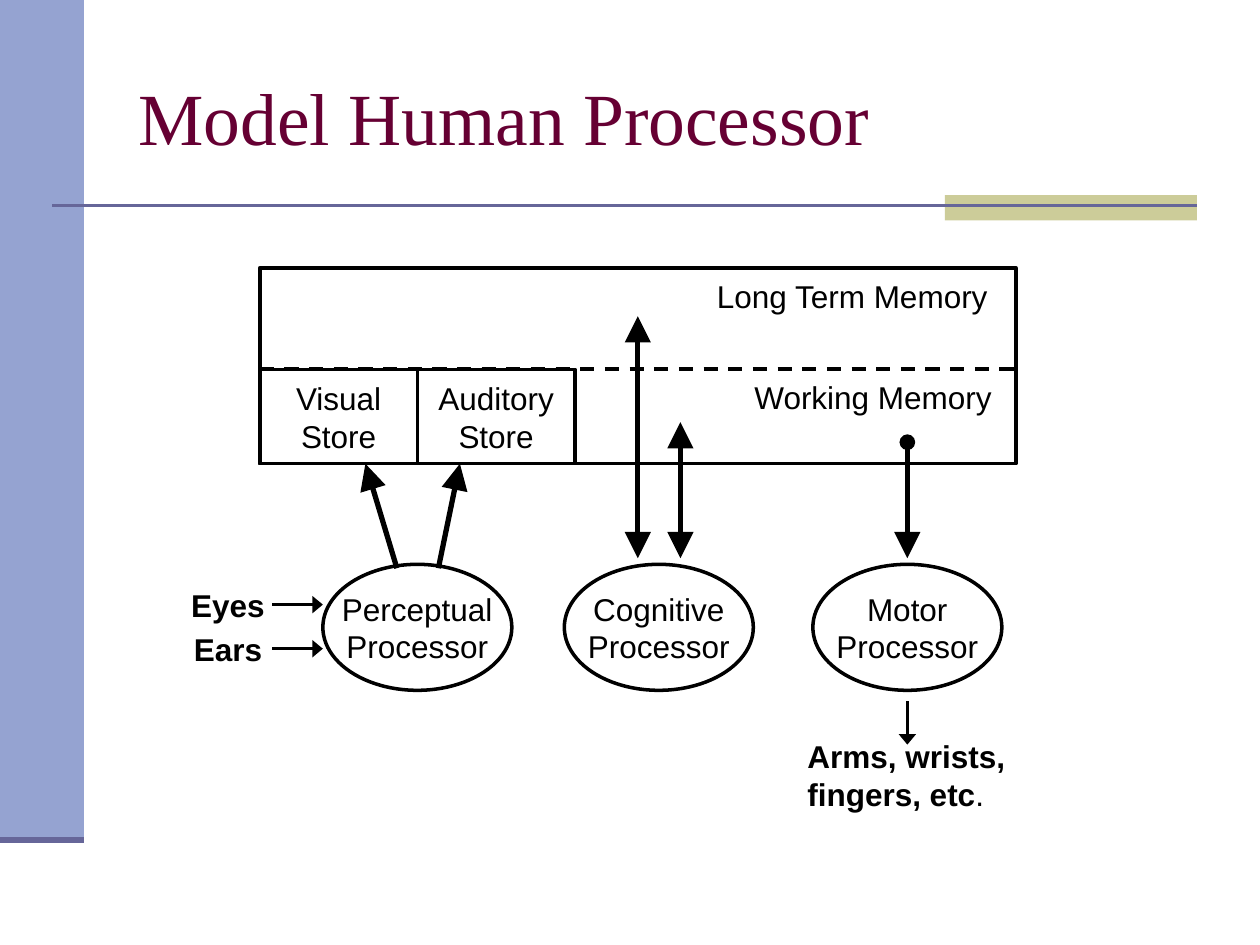
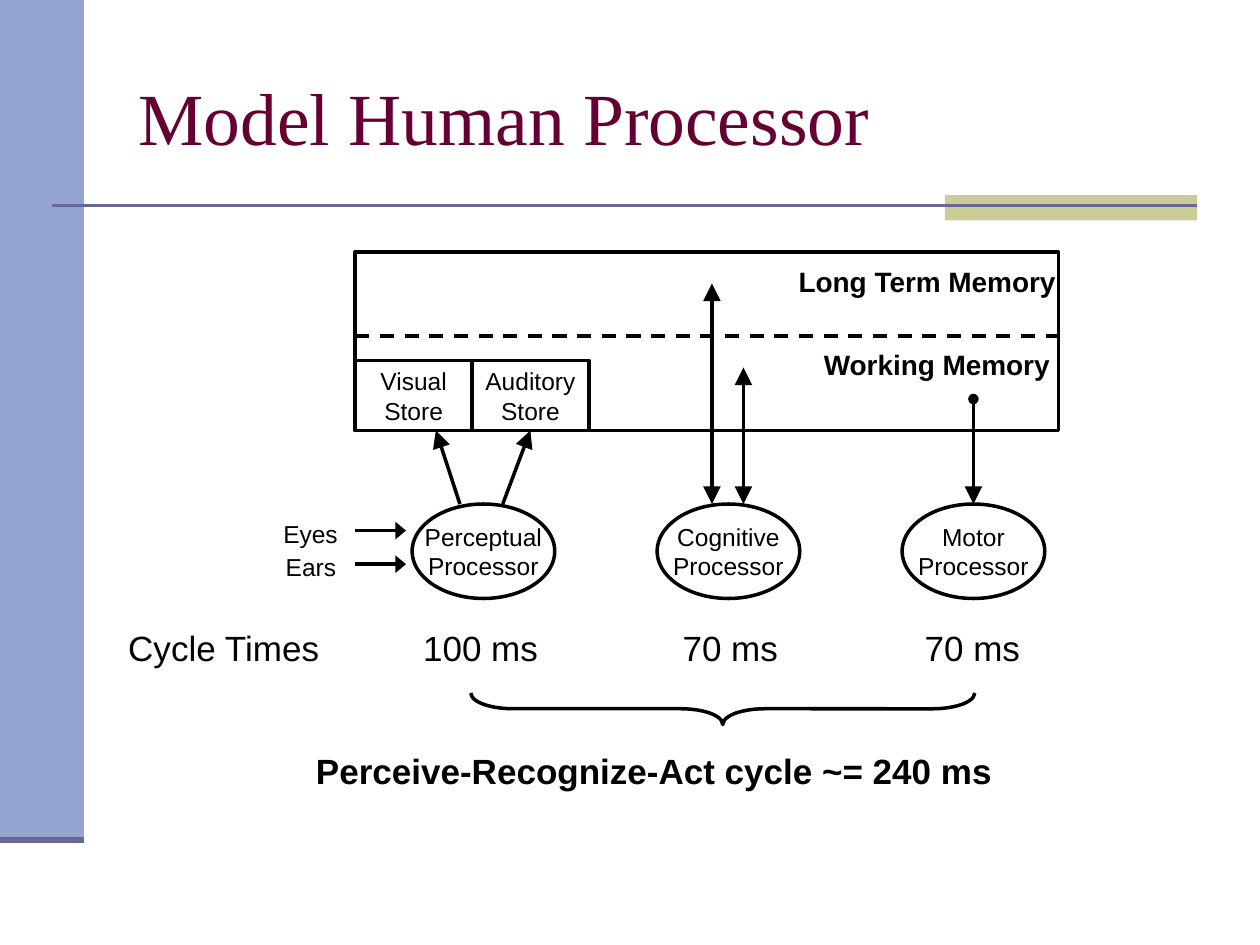
from lxml import etree
from pptx import Presentation
from pptx.dml.color import RGBColor
from pptx.enum.dml import MSO_LINE
from pptx.enum.shapes import MSO_CONNECTOR, MSO_SHAPE
from pptx.enum.text import MSO_ANCHOR, PP_ALIGN
from pptx.oxml.ns import qn
from pptx.util import Pt

# Shared colours, fonts and enum members
BLACK = RGBColor(0x00, 0x00, 0x00)
WHITE = RGBColor(0xFF, 0xFF, 0xFF)
BAND_BLUE = RGBColor(0x95, 0xA3, 0xD1)
RULE_BLUE = RGBColor(0x66, 0x66, 0x99)
ACCENT_SAND = RGBColor(0xCC, 0xCC, 0x99)
TITLE_WINE = RGBColor(0x66, 0x00, 0x33)
BODY_FONT = "Arial"
TITLE_FONT = "Times New Roman"
RECT = MSO_SHAPE.RECTANGLE
OVAL = MSO_SHAPE.OVAL
BRACE = MSO_SHAPE.RIGHT_BRACE
STRAIGHT = MSO_CONNECTOR.STRAIGHT
DASH = MSO_LINE.DASH
MIDDLE = MSO_ANCHOR.MIDDLE
CENTER = PP_ALIGN.CENTER

# Line ends: type, width, length
BIG_ARROW = ("triangle", "lg", "lg")
SMALL_ARROW = ("triangle", "lg", "med")
DOT = ("oval", "med", "med")

STORES = ("Visual\nStore", "Auditory\nStore")
PROCESSORS = ("Perceptual\nProcessor", "Cognitive\nProcessor", "Motor\nProcessor")


def format_runs(p, size, color=BLACK, bold=False, font=BODY_FONT):
    for r in p.runs:
        r.font.size = Pt(size)
        r.font.name = font
        r.font.bold = bold
        r.font.color.rgb = color


def add_label(slide, text, x, y, w, h, size, bold=False, wrap=False):
    tf = slide.shapes.add_textbox(Pt(x), Pt(y), Pt(w), Pt(h)).text_frame
    tf.word_wrap = wrap
    p = tf.paragraphs[0]
    p.text = text
    format_runs(p, size, bold=bold)
    return p


def add_box(slide, kind, x, y, w, h, fill=None, line=BLACK, text="", size=18):
    sp = slide.shapes.add_shape(kind, Pt(x), Pt(y), Pt(w), Pt(h))
    sp.shadow.inherit = False
    if fill is None:
        sp.fill.background()
    else:
        sp.fill.solid()
        sp.fill.fore_color.rgb = fill
    if line is None:
        sp.line.fill.background()
    else:
        sp.line.color.rgb = line
        sp.line.width = Pt(2)
    if text:
        tf = sp.text_frame
        tf.word_wrap = False
        tf.vertical_anchor = MIDDLE
        p = tf.paragraphs[0]
        p.text = text
        p.alignment = CENTER
        format_runs(p, size)
    return sp


def add_line(slide, x1, y1, x2, y2, width=2, color=BLACK, head=None, tail=None):
    c = slide.shapes.add_connector(STRAIGHT, Pt(x1), Pt(y1), Pt(x2), Pt(y2))
    c.line.color.rgb = color
    c.line.width = Pt(width)
    ln = c.line._get_or_add_ln()
    for tag, end in (("a:headEnd", head), ("a:tailEnd", tail)):
        if end:
            kind, w, length = end
            etree.SubElement(ln, qn(tag), type=kind, w=w, len=length)
    etree.SubElement(c._element.spPr, qn("a:effectLst"))
    return c


def add_base_slide(prs, title):
    slide = prs.slides.add_slide(prs.slide_layouts[6])
    # Side band, accent block and rules
    add_box(slide, RECT, 0, 0, 48, 480, fill=BAND_BLUE, line=None)
    add_box(slide, RECT, 540, 111.5, 144, 14.5, fill=ACCENT_SAND, line=None)
    add_line(slide, 30, 117.5, 684, 117.5, 1.5, RULE_BLUE)
    add_line(slide, 0, 480, 48, 480, 3.5, RULE_BLUE)
    # Title
    tf = slide.shapes.add_textbox(Pt(72), Pt(21.6), Pt(612), Pt(90)).text_frame
    tf.word_wrap = True
    tf.vertical_anchor = MIDDLE
    tf.text = title
    format_runs(tf.paragraphs[0], 42, TITLE_WINE, font=TITLE_FONT)
    return slide


def add_memory(slide, x, y, w, h, divider_y, store_w, store_h, size, fill=None):
    """Memory frame with a dashed divider and stores along its lower edge."""
    add_box(slide, RECT, x, y, w, h)
    add_line(slide, x, divider_y, x + w, divider_y).line.dash_style = DASH
    for i, name in enumerate(STORES):
        add_box(slide, RECT, x + i * store_w, y + h - store_h, store_w, store_h,
                fill=fill, text=name, size=size)


def add_processors(slide, lefts, y, w, h, size):
    return [add_box(slide, OVAL, x, y, w, h, text=name, size=size)
            for name, x in zip(PROCESSORS, lefts)]


def add_flows(slide, perceptual, cognitive, motor, bottom, width):
    """Arrows between processors and memory; bottom is their lower end."""
    for start, end in perceptual:
        add_line(slide, *start, *end, width, tail=BIG_ARROW)
    for x, top in cognitive:
        add_line(slide, x, bottom, x, top, width, head=BIG_ARROW, tail=BIG_ARROW)
    x, top = motor
    return add_line(slide, x, bottom, x, top, width, head=BIG_ARROW, tail=DOT)


def add_senses(slide, labels, arrow_x, arrow_ys, h, size, bold=False):
    for (text, x, y, w), arrow_y in zip(labels, arrow_ys):
        add_label(slide, text, x, y, w, h, size, bold)
        add_line(slide, arrow_x, arrow_y, arrow_x + 29, arrow_y, tail=SMALL_ARROW)


def build_model_slide(prs):
    slide = add_base_slide(prs, "Model Human Processor")
    add_memory(slide, 148.5, 153, 432, 112, 211, 90, 54, 18)
    add_label(slide, "Long Term Memory", 402.5, 154.8, 171.4, 28.8, 18)
    add_label(slide, "Working Memory", 424, 212.4, 150.5, 28.8, 18)
    add_processors(slide, (184.5, 322.5, 464.5), 322.5, 108, 72, 18)
    add_flows(slide,
              perceptual=[((226.8, 324.7), (208.8, 265)), ((250.5, 324.7), (262.8, 265))],
              cognitive=[(388.8, 241.2), (364.5, 180.7)],
              motor=(518.5, 252.7), bottom=319, width=3)
    add_senses(slide, [("Eyes", 102.2, 331.2, 56.2), ("Ears", 103.7, 356.4, 53.3)],
               155.5, (345.5, 370.7), 28.8, 18, bold=True)
    # Motor output
    p = add_label(slide, "Arms, wrists,\nfingers, etc", 454.3, 417.6, 127.4, 50.4, 18, True)
    r = p.add_run()
    r.text = "."
    r.font.size = Pt(18)
    r.font.name = BODY_FONT
    r.font.color.rgb = BLACK
    add_line(slide, 518.5, 425.5, 518.5, 400.5, head=SMALL_ARROW)


def build_cycle_slide(prs):
    slide = add_base_slide(prs, "Model Human Processor")
    add_memory(slide, 203, 144, 402, 102, 192, 66.75, 40, 14, fill=WHITE)
    add_label(slide, "Long Term Memory", 449.3, 147.6, 162, 26.6, 16, True)
    add_label(slide, "Working Memory", 463.7, 195.1, 144, 26.6, 16, True)
    motor = add_processors(slide, (235.5, 375.5, 515.5), 288, 81.5, 54, 14)[-1]
    motor_flow = add_flows(
        slide,
        perceptual=[((262.8, 288), (249.1, 246)), ((287.3, 288), (303.1, 246))],
        cognitive=[(424.8, 210), (406.8, 162)],
        motor=(556.25, 228), bottom=288, width=2)
    motor_flow.begin_connect(motor, 0)
    add_senses(slide, [("Eyes", 154.8, 293, 45.4), ("Ears", 156.2, 311.8, 43.2)],
               203, (303.2, 322.4), 24.5, 14)
    # Cycle times
    add_label(slide, "Cycle Times", 66.2, 354.2, 144, 31.7, 20, wrap=True)
    for text, x, w in (("100 ms", 234.7, 80), ("70 ms", 383, 69), ("70 ms", 521.3, 69)):
        add_label(slide, text, x, 354.2, w, 31.7, 20)
    # Sum of the three cycles
    brace = add_box(slide, BRACE, 404, 261, 18, 288)
    brace.rotation = 90
    brace.adjustments[0] = 1.33
    add_label(slide, "Perceive-Recognize-Act cycle ~= 240 ms", 173.5, 424.8, 401, 31.7, 20, True)


def main():
    prs = Presentation()
    prs.slide_width, prs.slide_height = Pt(720), Pt(540)
    build_model_slide(prs)
    build_cycle_slide(prs)
    prs.save("out.pptx")


if __name__ == "__main__":
    main()
